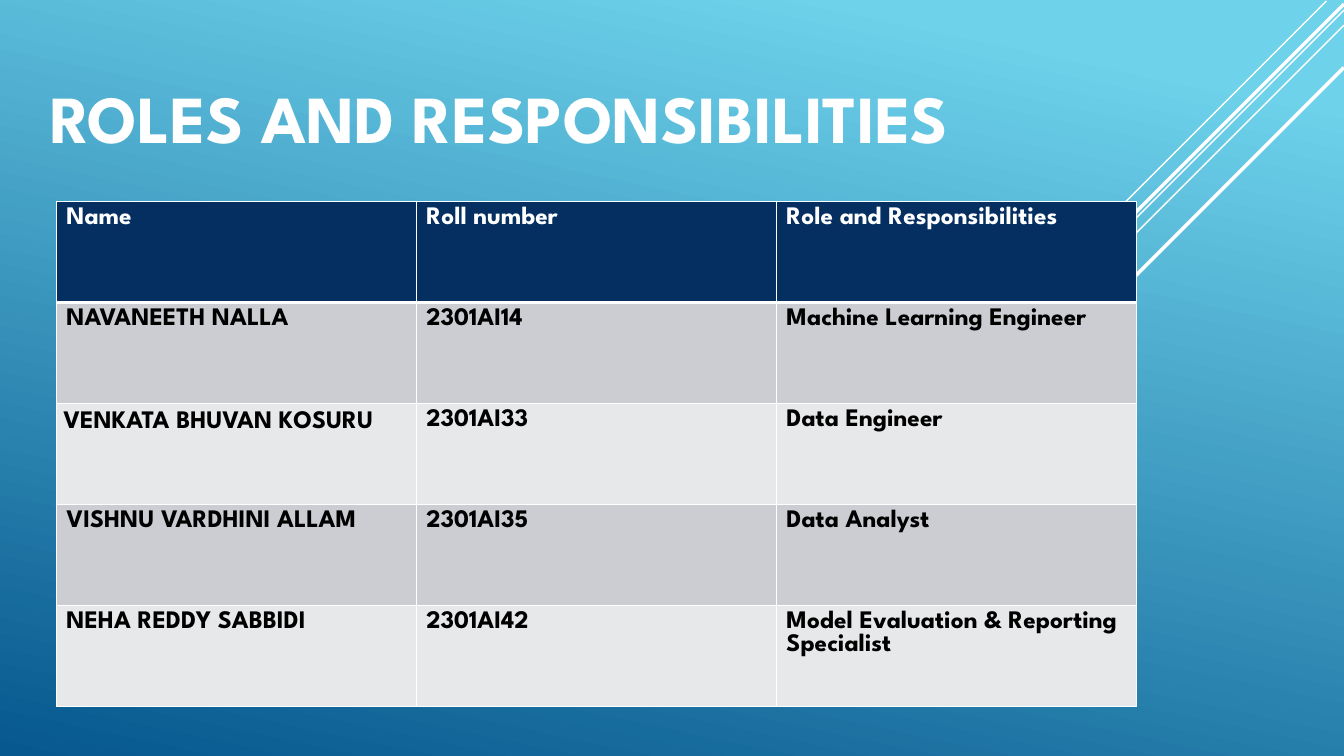
from dataclasses import dataclass

from lxml import etree
from pptx import Presentation
from pptx.dml.color import RGBColor
from pptx.enum.shapes import MSO_CONNECTOR
from pptx.enum.text import MSO_ANCHOR
from pptx.oxml.ns import qn
from pptx.slide import Slide
from pptx.table import _Cell
from pptx.util import Pt

STRAIGHT = MSO_CONNECTOR.STRAIGHT
BOTTOM = MSO_ANCHOR.BOTTOM

FONT = "League Spartan"
WHITE = RGBColor(0xFF, 0xFF, 0xFF)
BLACK = RGBColor(0x00, 0x00, 0x00)
NAVY = RGBColor(0x05, 0x2F, 0x61)
SKY = RGBColor(0x6E, 0xD2, 0xEB)
OCEAN = RGBColor(0x06, 0x58, 0x8E)
BANDS = (RGBColor(0xE7, 0xE8, 0xEA), RGBColor(0xCC, 0xCD, 0xD2))

COL_WIDTH = 257.2
ROW_HEIGHT = 72.15
THIN, THICK = 1, 3


@dataclass(frozen=True)
class Ray:
    """A diagonal falling to the left at 45 degrees."""
    right: float
    top: float
    run: float
    weight: float


RAYS = (
    Ray(947.5, 0.7, 299.5, 1),
    Ray(960, 7.2, 478.8, 1),
    Ray(960, 18, 390.2, 1),
    Ray(960, 2.9, 382, 2.5),
    Ray(960, 48.2, 342, 2.5),
)

ROWS = (
    ("Name", "Roll number", "Role and Responsibilities"),
    ("NAVANEETH NALLA", "2301AI14", "Machine Learning Engineer"),
    ("VENKATA BHUVAN KOSURU", "2301AI33", "Data Engineer"),
    ("VISHNU VARDHINI ALLAM", "2301AI35", "Data Analyst"),
    ("NEHA REDDY SABBIDI", "2301AI42", "Model Evaluation & Reporting Specialist"),
)


def paint_back(slide: Slide) -> None:
    fill = slide.background.fill
    fill.gradient()
    fill.gradient_angle = 258
    for stop, color, place in zip(fill.gradient_stops, (SKY, OCEAN), (0.1, 1)):
        stop.color.rgb = color
        stop.position = place


def draw_ray(slide: Slide, ray: Ray) -> None:
    line = slide.shapes.add_connector(
        STRAIGHT, Pt(ray.right), Pt(ray.top),
        Pt(ray.right - ray.run), Pt(ray.top + ray.run))
    line.line.color.rgb = WHITE
    line.line.width = Pt(ray.weight)
    etree.SubElement(line._element.spPr, qn("a:effectLst"))


def add_title(slide: Slide, text: str) -> None:
    box = slide.shapes.add_textbox(Pt(28.8), Pt(35.3), Pt(783.4), Pt(80.6))
    frame = box.text_frame
    frame.word_wrap = True
    frame.vertical_anchor = BOTTOM
    frame.text = text
    set_font(frame.paragraphs[0].font, 48, WHITE)


def set_font(font, size: float, color: RGBColor) -> None:
    font.name = FONT
    font.size = Pt(size)
    font.bold = True
    font.color.rgb = color


def set_edges(cell: _Cell, top: float, bottom: float) -> None:
    """Give the cell white borders of the stated weights, thin at the sides."""
    props = cell._tc.get_or_add_tcPr()
    for side, weight in zip("LRTB", (THIN, THIN, top, bottom)):
        edge = etree.SubElement(props, qn(f"a:ln{side}"), w=str(Pt(weight)))
        fill = etree.SubElement(edge, qn("a:solidFill"))
        etree.SubElement(fill, qn("a:srgbClr"), val=str(WHITE))


def add_roles(slide: Slide) -> None:
    count, width = len(ROWS), len(ROWS[0])
    table = slide.shapes.add_table(
        count, width, Pt(40.2), Pt(144),
        Pt(COL_WIDTH * width), Pt(ROW_HEIGHT * count)).table
    table.horz_banding = False
    for col in table.columns:
        col.width = Pt(COL_WIDTH)
    for i, texts in enumerate(ROWS):
        table.rows[i].height = Pt(ROW_HEIGHT)
        for j, text in enumerate(texts):
            cell = table.cell(i, j)
            set_edges(cell, THICK if i == 1 else THIN, THICK if i == 0 else THIN)
            cell.fill.solid()
            cell.fill.fore_color.rgb = BANDS[i % 2] if i else NAVY
            cell.text = text
            set_font(cell.text_frame.paragraphs[0].font, 18, BLACK if i else WHITE)
    inset = table.cell(2, 0)
    inset.margin_left = inset.margin_right = Pt(5)
    inset.margin_top = inset.margin_bottom = Pt(5)


def main() -> None:
    deck = Presentation()
    deck.slide_width, deck.slide_height = Pt(960), Pt(540)
    slide = deck.slides.add_slide(deck.slide_layouts[6])
    paint_back(slide)
    for ray in RAYS:
        draw_ray(slide, ray)
    add_title(slide, "ROLES AND RESPONSIBILITIES")
    add_roles(slide)
    deck.save("out.pptx")


if __name__ == "__main__":
    main()
